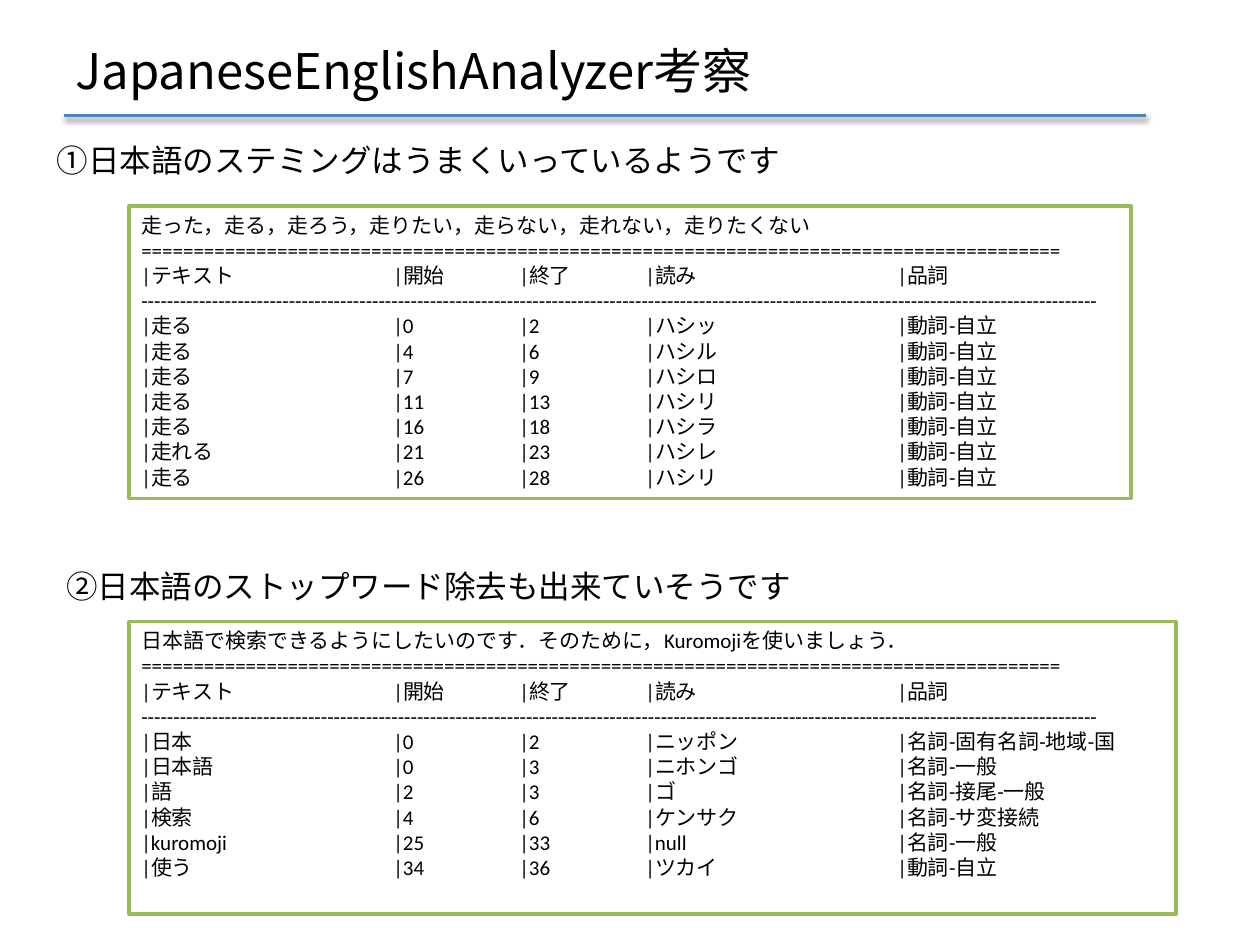
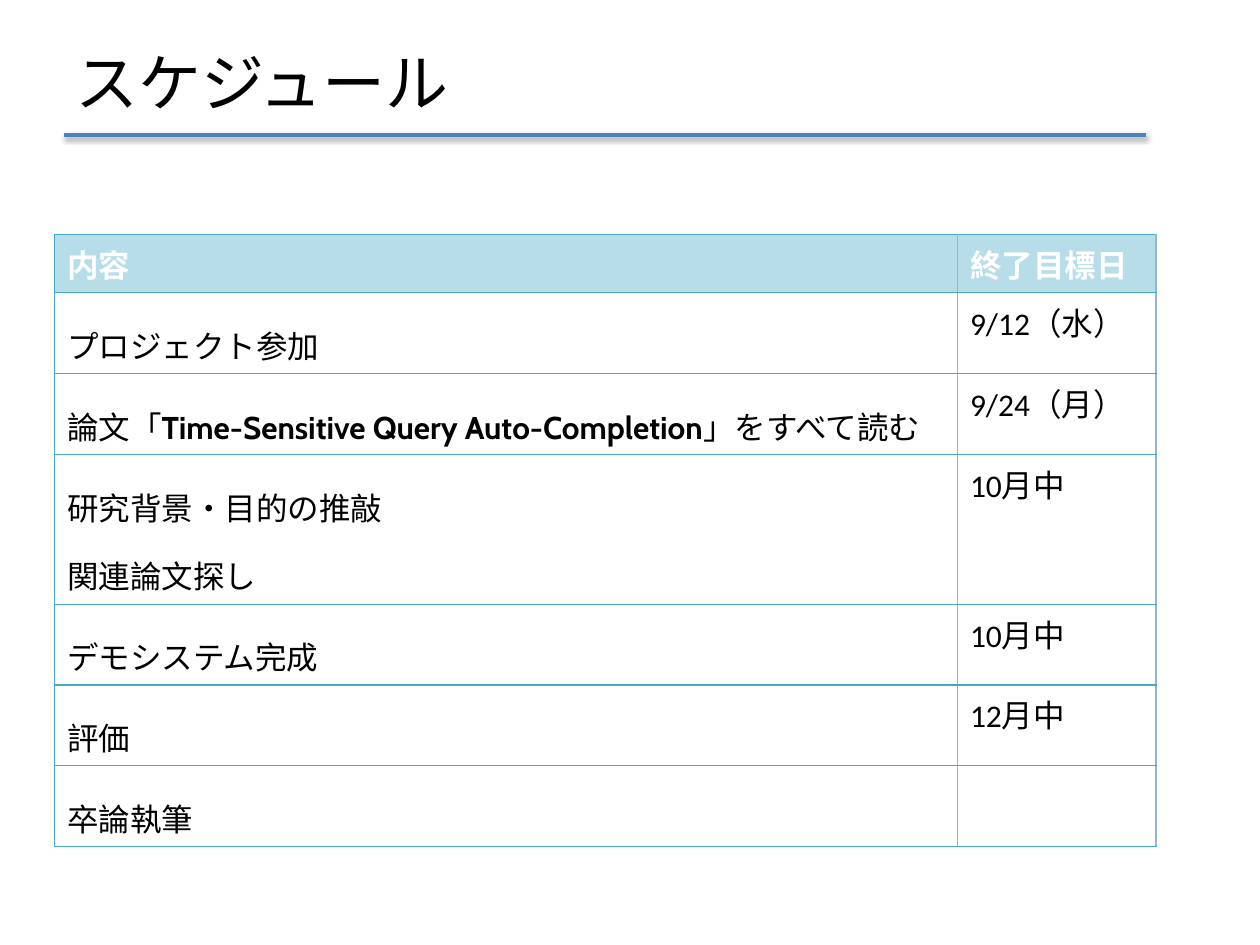
from lxml.etree import SubElement
from pptx import Presentation
from pptx.dml.color import RGBColor
from pptx.enum.shapes import MSO_CONNECTOR, MSO_SHAPE
from pptx.enum.text import MSO_ANCHOR, PP_ALIGN
from pptx.oxml.ns import qn
from pptx.util import Cm, Pt

COLORS = {
    "text": "000000",
    "white": "FFFFFF",
    "title_rule": "4F81BD",
    "box_line": "9BBB59",
    "header_fill": "B7DEE8",
    "table_line": "46AAC5",
    "column_line": "95B3D7",
}
JAPANESE_FONT = "Noto Sans CJK JP"
BODY_FONT = "Calibri"
TAB_WIDTH = Cm(2.54)
DOUBLE_RULE = "=" * 88
DASHED_RULE = "-" * 149
HEADINGS = "|テキスト\t\t|開始\t|終了\t|読み\t\t|品詞"


def format_run(run, size, font=BODY_FONT, color="text", bold=False):
    run.font.size = Pt(size)
    run.font.bold = bold
    run.font.color.rgb = RGBColor.from_string(COLORS[color])
    run.font.name = font
    SubElement(run.font._element, qn("a:ea"), typeface=JAPANESE_FONT)


def write_lines(shape, lines, size, font=BODY_FONT, line_spacing=None):
    """Fill a shape with one left-aligned paragraph per line."""
    text_frame = shape.text_frame
    text_frame.word_wrap = True
    text_frame.text = "\n".join(lines)
    for paragraph in text_frame.paragraphs:
        paragraph.alignment = PP_ALIGN.LEFT
        paragraph.line_spacing = line_spacing
        paragraph._p.get_or_add_pPr().set("defTabSz", str(TAB_WIDTH))
        for run in paragraph.runs:
            format_run(run, size, font)


presentation = Presentation()
presentation.slide_width = Cm(25.4)
presentation.slide_height = Cm(19.05)

# Titles with their shadowed rule: text, size, top, rule height
titles = [
    ("JapaneseEnglishAnalyzer考察", 28, 0.53, 2.33),
    ("スケジュール", 36, 0.76, 2.72),
]
for title, size, top, rule_top in titles:
    slide = presentation.slides.add_slide(presentation.slide_layouts[6])
    title_box = slide.shapes.add_textbox(Cm(1.27), Cm(top), Cm(20.75), Cm(1.75))
    write_lines(title_box, [title], size, JAPANESE_FONT)
    title_box.text_frame.vertical_anchor = MSO_ANCHOR.MIDDLE

    rule = slide.shapes.add_connector(
        MSO_CONNECTOR.STRAIGHT, Cm(1.3), Cm(rule_top), Cm(23.1), Cm(rule_top))
    rule.line.color.rgb = RGBColor.from_string(COLORS["title_rule"])
    rule.line.width = Pt(2)
    effects = SubElement(rule._element.spPr, qn("a:effectLst"))
    shadow = SubElement(effects, qn("a:outerShdw"), blurRad=str(Pt(3.1)),
                        dist=str(Pt(1.6)), dir="5400000", rotWithShape="0")
    shadow_color = SubElement(shadow, qn("a:srgbClr"), val=COLORS["text"])
    SubElement(shadow_color, qn("a:alpha"), val="38000")

analyzer_slide, schedule_slide = presentation.slides

# Analyzer findings: heading, heading left and top, box top and width,
# analyzed sentence, tokens
findings = [
    ("①日本語のステミングはうまくいっているようです", 0.9, 2.72, 4.15, 20.2,
     "走った，走る，走ろう，走りたい，走らない，走れない，走りたくない",
     [("走る", 0, 2, "ハシッ", "動詞-自立"),
      ("走る", 4, 6, "ハシル", "動詞-自立"),
      ("走る", 7, 9, "ハシロ", "動詞-自立"),
      ("走る", 11, 13, "ハシリ", "動詞-自立"),
      ("走る", 16, 18, "ハシラ", "動詞-自立"),
      ("走れる", 21, 23, "ハシレ", "動詞-自立"),
      ("走る", 26, 28, "ハシリ", "動詞-自立")]),
    ("②日本語のストップワード除去も出来ていそうです", 1.09, 11.3, 12.53, 21.11,
     "日本語で検索できるようにしたいのです．そのために，Kuromojiを使いましょう．",
     [("日本", 0, 2, "ニッポン", "名詞-固有名詞-地域-国"),
      ("日本語", 0, 3, "ニホンゴ", "名詞-一般"),
      ("語", 2, 3, "ゴ", "名詞-接尾-一般"),
      ("検索", 4, 6, "ケンサク", "名詞-サ変接続"),
      ("kuromoji", 25, 33, "null", "名詞-一般"),
      ("使う", 34, 36, "ツカイ", "動詞-自立")]),
]
for heading, left, top, box_top, box_width, sentence, tokens in findings:
    token_box = analyzer_slide.shapes.add_shape(
        MSO_SHAPE.RECTANGLE, Cm(2.6), Cm(box_top), Cm(box_width), Cm(5.9))
    token_box.shadow.inherit = False
    token_box.fill.solid()
    token_box.fill.fore_color.rgb = RGBColor.from_string(COLORS["white"])
    token_box.line.color.rgb = RGBColor.from_string(COLORS["box_line"])
    token_box.line.width = Pt(2)
    token_lines = [f"|{word}\t\t|{start}\t|{end}\t|{reading}\t\t|{part}"
                   for word, start, end, reading, part in tokens]
    write_lines(token_box,
                [sentence, DOUBLE_RULE, HEADINGS, DASHED_RULE, *token_lines],
                12, line_spacing=Pt(14.4))
    token_box.text_frame.vertical_anchor = MSO_ANCHOR.TOP

    heading_box = analyzer_slide.shapes.add_textbox(
        Cm(left), Cm(top), Cm(19.81), Cm(1.02))
    write_lines(heading_box, [heading], 18, line_spacing=Pt(21.6))

# Schedule table: task, target date, row height
paper_title = "Time-Sensitive Query Auto-Completion"
schedule = [
    ("内容", "終了目標日", 1.17),
    ("プロジェクト参加", "9/12（水）", 1.63),
    (f"論文「{paper_title}」をすべて読む", "9/24（月）", 1.63),
    ("研究背景・目的の推敲\n関連論文探し", "10月中", 3.02),
    ("デモシステム完成", "10月中", 1.63),
    ("評価", "12月中", 1.63),
    ("卒論執筆", "", 1.63),
]
table_height = Cm(sum(height for _, _, height in schedule))
table = schedule_slide.shapes.add_table(
    len(schedule), 2, Cm(1.1), Cm(4.73), Cm(22.2), table_height).table
table.horz_banding = False
table.first_row = False
table.columns[0].width = Cm(18.2)
table.columns[1].width = Cm(4)

for row_index, (task, target_date, height) in enumerate(schedule):
    table.rows[row_index].height = Cm(height)
    is_header = row_index == 0
    for column_index, text in enumerate((task, target_date)):
        cell = table.cell(row_index, column_index)
        is_task = column_index == 0 and not is_header

        left_edge = ("table_line", 0.75) if column_index == 0 else ("column_line", 1)
        edges = {"a:lnL": left_edge, "a:lnR": ("column_line", 1),
                 "a:lnT": ("table_line", 0.75), "a:lnB": ("table_line", 0.75)}
        for tag, (color, width) in edges.items():
            edge = SubElement(cell._tc.get_or_add_tcPr(), qn(tag), w=str(Pt(width)))
            edge_fill = SubElement(edge, qn("a:solidFill"))
            SubElement(edge_fill, qn("a:srgbClr"), val=COLORS[color])

        if is_header:
            cell.fill.solid()
            cell.fill.fore_color.rgb = RGBColor.from_string(COLORS["header_fill"])
        else:
            cell.fill.background()

        cell.text_frame.text = text
        for paragraph in cell.text_frame.paragraphs:
            if is_task:
                paragraph.line_spacing = 1.5
            if paper_title in paragraph.text:
                before, after = paragraph.text.split(paper_title)
                paragraph.text = before
                paragraph.add_run().text = paper_title
                paragraph.add_run().text = after
            for run in paragraph.runs:
                is_paper = run.text == paper_title
                font = JAPANESE_FONT if is_task else BODY_FONT
                format_run(run, 18, "Cabin" if is_paper else font,
                           "white" if is_header else "text",
                           is_header or is_paper)

presentation.save("out.pptx")
